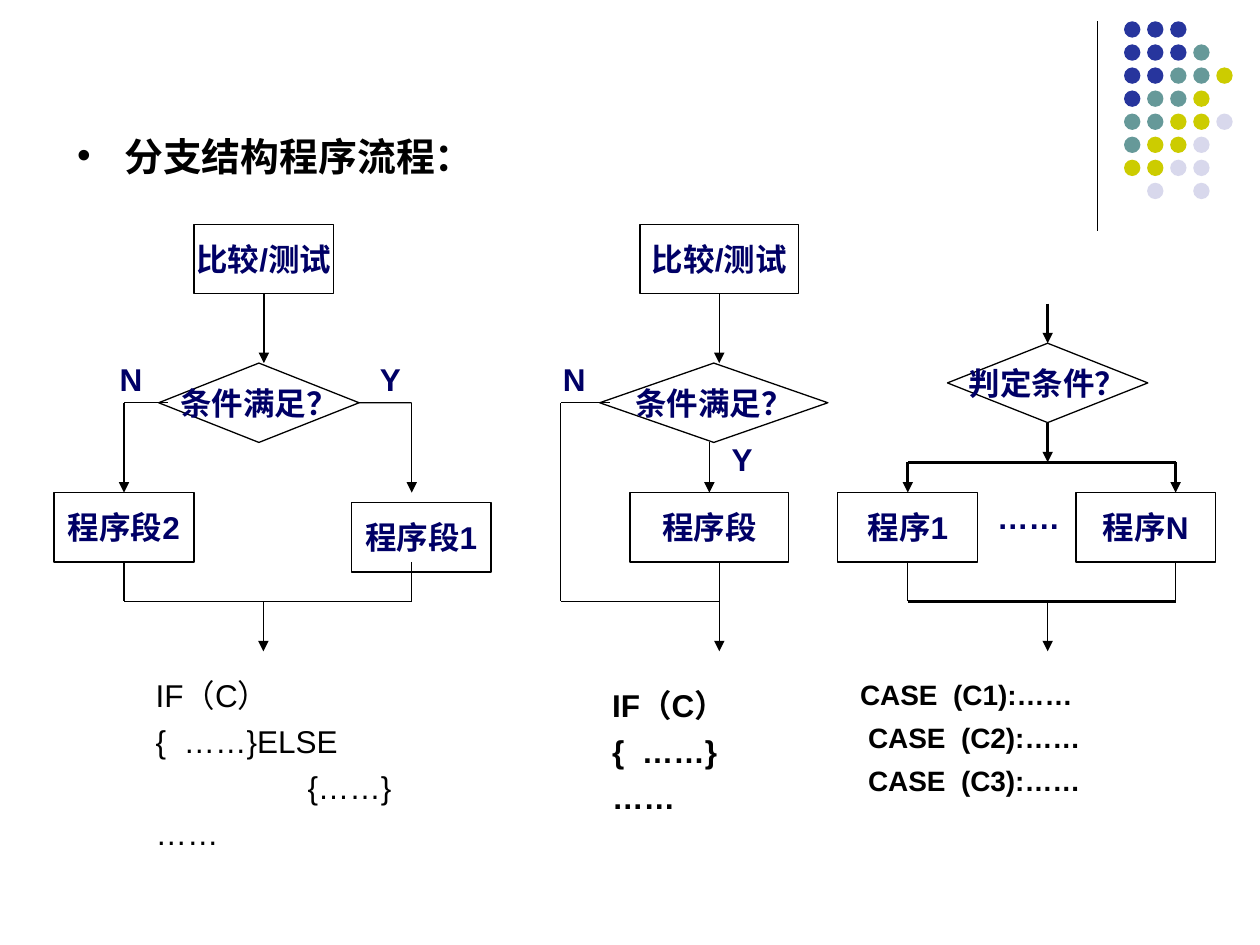
from dataclasses import dataclass, field

from lxml import etree
from pptx import Presentation
from pptx.dml.color import RGBColor
from pptx.enum.shapes import MSO_CONNECTOR, MSO_SHAPE
from pptx.enum.text import MSO_ANCHOR, MSO_AUTO_SIZE, PP_ALIGN
from pptx.oxml.ns import qn
from pptx.util import Cm, Pt

STRAIGHT = MSO_CONNECTOR.STRAIGHT
PROCESS = MSO_SHAPE.FLOWCHART_PROCESS
DECISION = MSO_SHAPE.FLOWCHART_DECISION
OVAL = MSO_SHAPE.OVAL
MIDDLE = MSO_ANCHOR.MIDDLE
NO_AUTOFIT = MSO_AUTO_SIZE.NONE
CENTER = PP_ALIGN.CENTER

BLACK = "000000"
NAVY = "000066"
THIN, THICK = 0.75, 1.75
BOX_WIDTH, BOX_HEIGHT = 2.82, 1.4
DIAMOND_WIDTH, DIAMOND_HEIGHT = 4.04, 1.6
DOT_COLORS = {"b": "27359D", "t": "669999", "y": "CCCC00", "p": "D8D8EC"}
DOT_ROWS = ["bbb", "bbbt", "bbtty", "btty", "ttyyp", "tyyp", "yypp", " p p"]


@dataclass
class Region:
    """A group of shapes placed relative to its left and top, in centimetres."""
    shapes: object
    left: float
    top: float
    nodes: list = field(default_factory=list)

    def place(self, x, y):
        """Return the slide position of a point in the region."""
        return Cm(self.left + x), Cm(self.top + y)


def rgb(color):
    """Turn a hex string into a colour."""
    return RGBColor.from_string(color)


def format_runs(paragraph, size, color, bold=True):
    """Give every run of a paragraph the same font."""
    for run in paragraph.runs:
        run.font.name = "Arial"
        run.font.size = Pt(size)
        run.font.bold = bold
        run.font.color.rgb = rgb(color)


def add_node(region, kind, text, x, y, width, height):
    """Add an outlined flowchart node with a centred caption."""
    shape = region.shapes.add_shape(kind, *region.place(x, y), Cm(width), Cm(height))
    shape.shadow.inherit = False
    shape.fill.background()
    shape.line.color.rgb = rgb(BLACK)
    shape.line.width = Pt(THIN)
    text_frame = shape.text_frame
    text_frame.text = text
    text_frame.word_wrap = False
    text_frame.vertical_anchor = MIDDLE
    paragraph = text_frame.paragraphs[0]
    paragraph.alignment = CENTER
    format_runs(paragraph, 18, NAVY)
    middle_x, middle_y = x + width / 2, y + height / 2
    sides = [(middle_x, y), (x, middle_y), (middle_x, y + height), (x + width, middle_y)]
    region.nodes.append((shape, sides))


def find_joint(region, point):
    """Return the node and side whose middle lies at the point, if any."""
    for shape, sides in region.nodes:
        for site, side in enumerate(sides):
            if max(abs(side[0] - point[0]), abs(side[1] - point[1])) < 0.03:
                return shape, site
    return None


def add_line(region, start, end, arrow=False, width=THIN):
    """Add a straight connector, joined to the nodes it touches."""
    connector = region.shapes.add_connector(STRAIGHT, *region.place(*start), *region.place(*end))
    for point, connect in ((start, connector.begin_connect), (end, connector.end_connect)):
        joint = find_joint(region, point)
        if joint:
            connect(*joint)
    connector.line.color.rgb = rgb(BLACK)
    connector.line.width = Pt(width)
    if arrow:
        outline = connector.line._get_or_add_ln()
        etree.SubElement(outline, qn("a:tailEnd"), type="triangle")
    etree.SubElement(connector._element.spPr, qn("a:effectLst"))


def add_text(region, lines, x, y, width, height, size=18, color=BLACK, bold=True,
             spacing=0.7, gap=11.2, indents=()):
    """Add a text box with one paragraph a line and optional indents by line."""
    shape = region.shapes.add_textbox(*region.place(x, y), Cm(width), Cm(height))
    text_frame = shape.text_frame
    text_frame.word_wrap = True
    text_frame.text = "\n".join(lines)
    for index, paragraph in enumerate(text_frame.paragraphs):
        paragraph.line_spacing = spacing
        paragraph.space_before = Pt(gap if index else 0)
        format_runs(paragraph, size, color, bold)
    for index, indent in indents:
        properties = text_frame.paragraphs[index]._p.get_or_add_pPr()
        properties.set("marL", str(Cm(indent)))


def add_label(region, text, x, y):
    """Add a branch label."""
    add_text(region, [text], x, y, 1, 1.02, color=NAVY, spacing=1)


def draw_two_way(region):
    """Draw the flowchart with two branches and its code."""
    add_node(region, PROCESS, "比较/测试", 2.82, 0, BOX_WIDTH, BOX_HEIGHT)
    add_node(region, DECISION, "条件满足？", 2.11, 2.8, DIAMOND_WIDTH, DIAMOND_HEIGHT)
    add_node(region, PROCESS, "程序段2", 0, 5.41, BOX_WIDTH, BOX_HEIGHT)
    add_node(region, PROCESS, "程序段1", 5.99, 5.61, BOX_WIDTH, BOX_HEIGHT)
    add_line(region, (4.23, 1.4), (4.23, 2.8), arrow=True)
    for inner, outer in ((2.29, 1.41), (6.15, 7.21)):
        add_line(region, (inner, 3.6), (outer, 3.6))
        add_line(region, (outer, 3.6), (outer, 5.41), arrow=True)
        add_line(region, (outer, 6.81), (outer, 7.6))
    add_line(region, (1.41, 7.6), (7.21, 7.6))
    add_line(region, (4.22, 7.6), (4.22, 8.61), arrow=True)
    add_label(region, "Y", 6.32, 2.62)
    add_label(region, "N", 1.07, 2.62)
    add_text(region, ["IF（C）", "{  ……}ELSE", "{……}", "……"], 1.8, 9.19, 5.79, 3.58,
             bold=False, indents=[(2, 3.06)])


def draw_one_way(region):
    """Draw the flowchart with one branch and its code."""
    add_node(region, PROCESS, "比较/测试", 1.8, 0, 3.2, BOX_HEIGHT)
    add_node(region, DECISION, "条件满足？", 0.99, 2.8, 4.6, DIAMOND_HEIGHT)
    add_node(region, PROCESS, "程序段", 1.6, 5.41, 3.2, BOX_HEIGHT)
    add_line(region, (3.4, 1.4), (3.4, 2.8), arrow=True)
    add_line(region, (3.2, 4.4), (3.2, 5.41), arrow=True)
    add_line(region, (1.19, 3.6), (0.2, 3.6))
    add_line(region, (0.2, 3.6), (0.2, 7.6))
    add_line(region, (0.2, 7.6), (3.4, 7.6))
    add_line(region, (3.4, 6.81), (3.4, 7.6))
    add_line(region, (3.4, 7.6), (3.4, 8.61), arrow=True)
    add_label(region, "Y", 3.4, 4.22)
    add_label(region, "N", 0, 2.62)
    add_text(region, ["IF（C）", "{  ……}", "……"], 0.99, 9.4, 3.6, 2.64)


def draw_many_way(region):
    """Draw the flowchart with many branches and its code."""
    add_node(region, DECISION, "判定条件？", 2.21, 0.8, DIAMOND_WIDTH, DIAMOND_HEIGHT)
    add_node(region, PROCESS, "程序1", 0, 3.81, BOX_WIDTH, BOX_HEIGHT)
    add_node(region, PROCESS, "程序N", 4.8, 3.81, BOX_WIDTH, BOX_HEIGHT)
    for top in (0, 2.4):
        add_line(region, (4.23, top), (4.23, top + 0.8), arrow=True, width=THICK)
    for x in (1.41, 6.81):
        add_line(region, (x, 3.2), (x, 3.81), arrow=True, width=THICK)
        add_line(region, (x, 5.21), (x, 6))
    for y in (3.2, 6):
        add_line(region, (1.41, y), (6.81, y), width=THICK)
    add_line(region, (4.23, 6), (4.23, 7.01), arrow=True)
    add_text(region, ["……"], 2.96, 4.01, 1.84, 0.79, color=NAVY)
    add_text(region, [f"CASE  (C{number}):……" for number in (1, 2, 3)], 0.2, 7.6, 7.5, 2.7,
             size=16, gap=11, indents=[(1, 0.16), (2, 0.16)])


def draw_ornament(region):
    """Draw the corner rule and its pattern of dots."""
    add_line(region, (0, 0), (0, 4.22))
    for row, colors in enumerate(DOT_ROWS):
        for column, key in enumerate(colors):
            if key in DOT_COLORS:
                position = region.place(0.54 + 0.465 * column, 0.465 * row)
                dot = region.shapes.add_shape(OVAL, *position, Cm(0.33), Cm(0.33))
                dot.shadow.inherit = False
                dot.fill.solid()
                dot.fill.fore_color.rgb = rgb(DOT_COLORS[key])
                dot.line.fill.background()


def fill_heading(shape, left, top, width, height):
    """Place the body placeholder and write its bulleted heading."""
    shape.left, shape.top, shape.width, shape.height = map(Cm, (left, top, width, height))
    text_frame = shape.text_frame
    text_frame.text = "分支结构程序流程："
    text_frame.auto_size = NO_AUTOFIT
    paragraph = text_frame.paragraphs[0]
    properties = paragraph._p.get_or_add_pPr()
    properties.set("marL", str(Cm(0.95)))
    properties.set("indent", str(Cm(-0.95)))
    etree.SubElement(properties, qn("a:buChar"), char="•")
    paragraph.line_spacing = 0.8
    paragraph.space_before = Pt(0)
    format_runs(paragraph, 22.2, BLACK)


def main():
    """Build the slide and save it."""
    presentation = Presentation()
    presentation.slide_width, presentation.slide_height = Cm(25.4), Cm(19.05)
    slide = presentation.slides.add_slide(presentation.slide_layouts[1])
    title = slide.shapes.title._element
    title.getparent().remove(title)
    fill_heading(slide.placeholders[1], 1.3, 2.72, 9.63, 1.07)
    for draw, left, top in ((draw_ornament, 22.12, 0.43), (draw_two_way, 1.09, 4.52),
                            (draw_one_way, 11.1, 4.52), (draw_many_way, 16.89, 6.12)):
        draw(Region(slide.shapes.add_group_shape().shapes, left, top))
    presentation.save("out.pptx")


if __name__ == "__main__":
    main()
